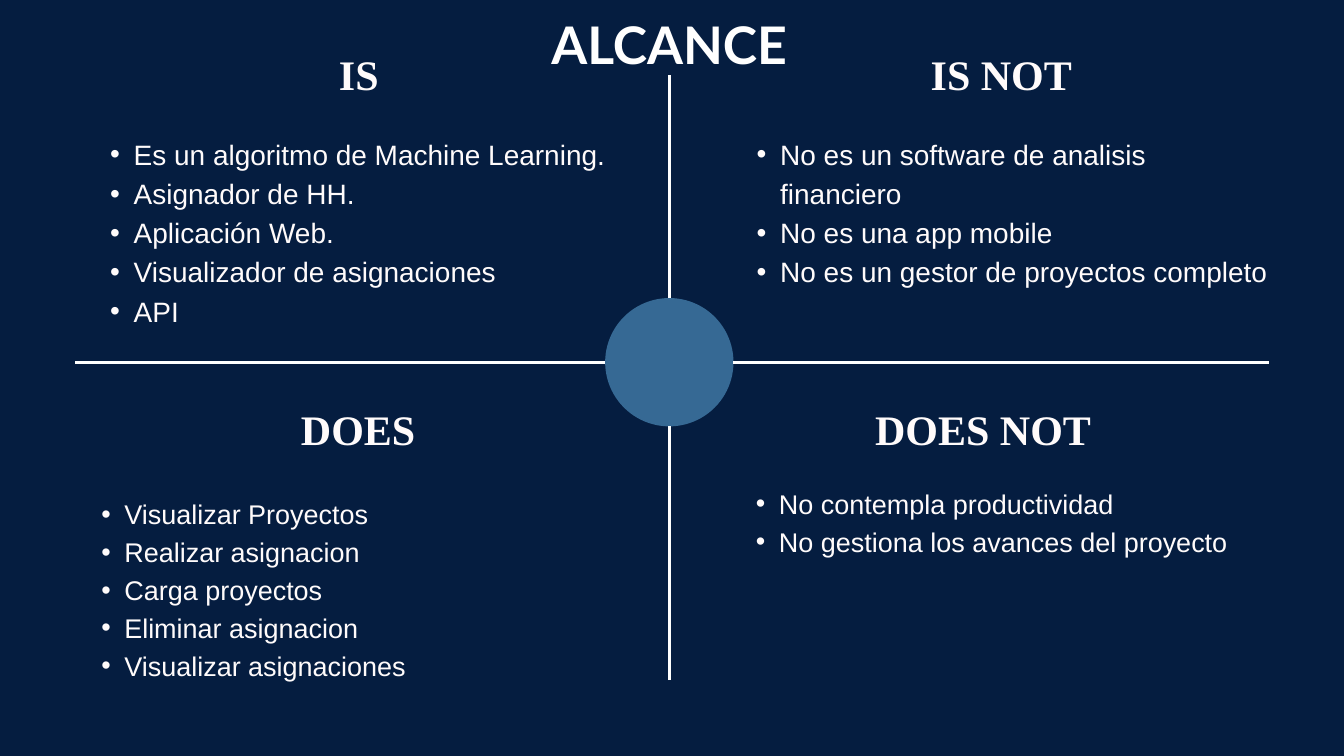
from lxml import etree
from pptx import Presentation
from pptx.dml.color import RGBColor
from pptx.enum.shapes import MSO_CONNECTOR, MSO_SHAPE
from pptx.enum.text import PP_ALIGN
from pptx.oxml.ns import qn
from pptx.util import Inches, Pt

NAVY = RGBColor(0x05, 0x1D, 0x40)
BLUE = RGBColor(0x36, 0x69, 0x94)
WHITE = RGBColor(0xFF, 0xFF, 0xFF)
SOFT_WHITE = RGBColor(0xFF, 0xFB, 0xFB)

TITLE = {"name": "Lato", "size": Pt(55.5), "bold": True}
HEADING = {"name": "Times New Roman", "size": Pt(45), "bold": True}
LARGE_LIST = {"name": "Arial", "size": Pt(30)}
SMALL_LIST = {"name": "Arial", "size": Pt(28.9)}

# Heading, heading box, items, list box, font, line spacing, hanging indent
QUADRANTS = [
    ("IS", (4.27, 0.59, 2.14, 0.85),
     ["Es un algoritmo de Machine Learning.", "Asignador de HH.",
      "Aplicación Web.", "Visualizador de asignaciones", "API"],
     (1.29, 1.96, 7.98, 2.98), LARGE_LIST, 42, 0.35),
    ("IS NOT", (13.44, 0.59, 2.92, 0.85),
     ["No es un software de analisis financiero", "No es una app mobile",
      "No es un gestor de proyectos completo"],
     (10.91, 1.96, 7.98, 1.81), LARGE_LIST, 42, 0.35),
    ("DOES", (3.49, 5.88, 3.68, 0.85),
     ["Visualizar Proyectos", "Realizar asignacion", "Carga proyectos",
      "Eliminar asignacion", "Visualizar asignaciones"],
     (1.17, 7.33, 8.34, 2.87), SMALL_LIST, 40.5, 0.34),
    ("DOES NOT", (12.13, 5.88, 5, 0.85),
     ["No contempla productividad", "No gestiona los avances del proyecto"],
     (10.91, 7.17, 7.68, 1.18), SMALL_LIST, 40.5, 0.34),
]


def add_bullet(paragraph, hanging):
    properties = paragraph._p.get_or_add_pPr()
    properties.set("marL", str(Inches(2 * hanging)))
    properties.set("indent", str(-Inches(hanging)))
    etree.SubElement(properties, qn("a:buFont")).set("typeface", "Arial")
    etree.SubElement(properties, qn("a:buChar")).set("char", "•")


def add_text(slide, box, lines, font, line_spacing, color=SOFT_WHITE, hanging=None):
    """Add one paragraph per line: bulleted if hanging is given, else centred."""
    frame = slide.shapes.add_textbox(*map(Inches, box)).text_frame
    frame.word_wrap = True
    for side in ("left", "top", "right", "bottom"):
        setattr(frame, f"margin_{side}", 0)
    for index, line in enumerate(lines):
        paragraph = frame.add_paragraph() if index else frame.paragraphs[0]
        paragraph.line_spacing = Pt(line_spacing)
        if hanging:
            paragraph.level = 1
            add_bullet(paragraph, hanging)
        else:
            paragraph.alignment = PP_ALIGN.CENTER
        run = paragraph.add_run()
        run.text = line
        run.font.color.rgb = color
        for name, value in font.items():
            setattr(run.font, name, value)


def add_line(slide, start, end):
    line = slide.shapes.add_connector(
        MSO_CONNECTOR.STRAIGHT, *map(Inches, (*start, *end)))
    line.line.color.rgb = WHITE
    line.line.width = Pt(3)
    etree.SubElement(line._element.spPr, qn("a:effectLst"))


def add_cross(slide, box, center, diameter):
    """Draw four arms from a central circle to the edges of the box."""
    left, top, width, height = box
    x, y = center
    radius = diameter / 2
    circle = slide.shapes.add_shape(
        MSO_SHAPE.OVAL, *map(Inches, (x - radius, y - radius, diameter, diameter)))
    circle.shadow.inherit = False
    circle.fill.solid()
    circle.fill.fore_color.rgb = BLUE
    circle.line.fill.background()
    add_line(slide, (left, y), (x - radius, y))
    add_line(slide, (x + radius, y), (left + width, y))
    add_line(slide, (x, top + height), (x, y + radius))
    add_line(slide, (x, y - radius), (x, top))


def add_quadrant(slide, heading, heading_box, items, list_box, font, spacing, hanging):
    add_text(slide, heading_box, [heading], HEADING, 63)
    add_text(slide, list_box, items, font, spacing, hanging=hanging)


def main():
    presentation = Presentation()
    presentation.slide_width = Inches(20)
    presentation.slide_height = Inches(11.25)
    slide = presentation.slides.add_slide(presentation.slide_layouts[6])
    slide.background.fill.solid()
    slide.background.fill.fore_color.rgb = NAVY
    add_text(slide, (6.05, 0.19, 7.82, 0.94), ["ALCANCE"], TITLE, 66.7, WHITE)
    add_cross(slide, (1.12, 1.12, 17.76, 9), (9.96, 5.39), 1.91)
    for quadrant in QUADRANTS:
        add_quadrant(slide, *quadrant)
    presentation.save("out.pptx")


if __name__ == "__main__":
    main()
